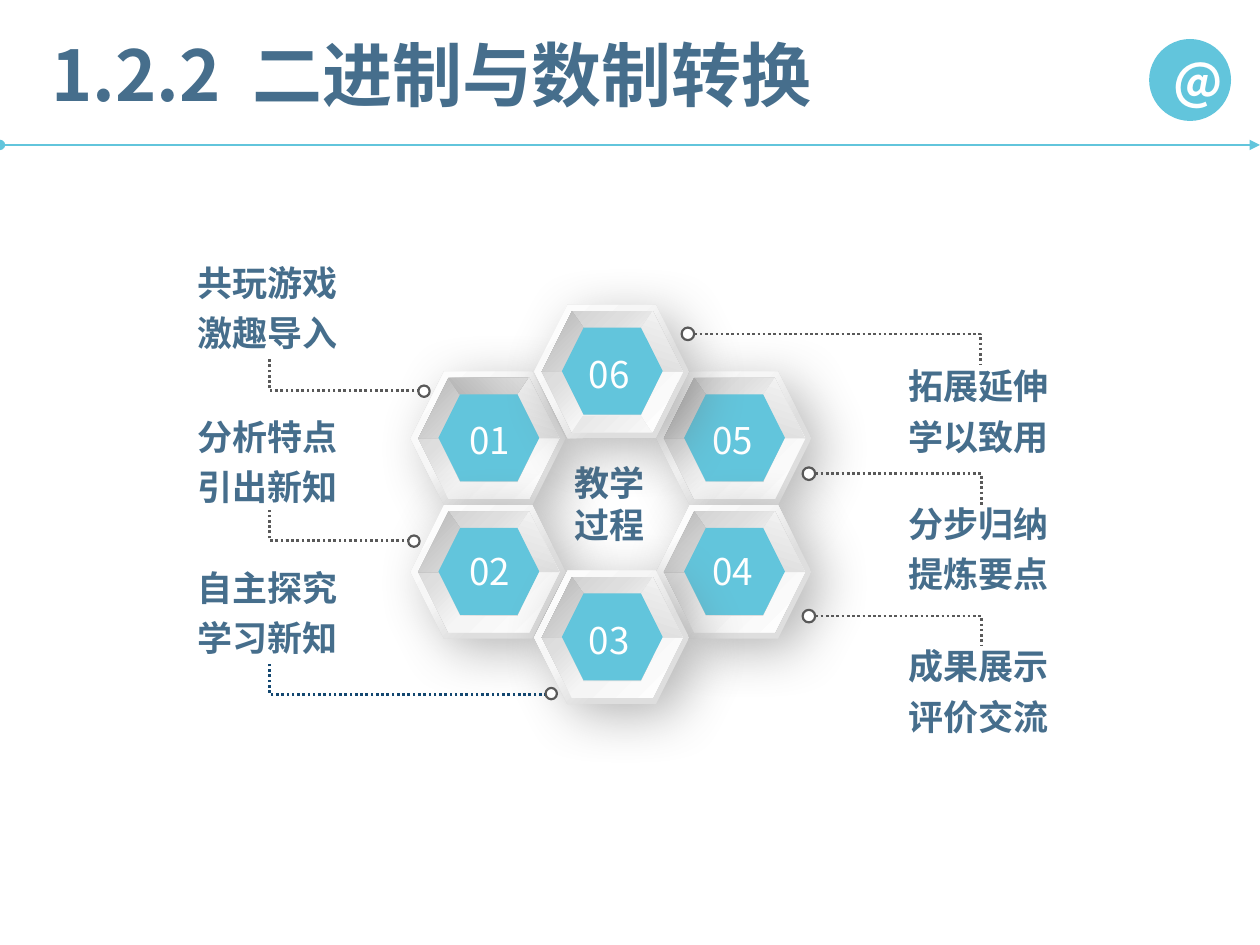
from lxml import etree
from pptx import Presentation
from pptx import util as u
from pptx.dml.color import RGBColor
from pptx.enum import dml, shapes, text
from pptx.oxml import parse_xml
from pptx.oxml.ns import nsdecls, qn

CYAN = RGBColor(0x62, 0xC5, 0xDC)
SLATE = RGBColor(0x46, 0x6E, 0x8C)
WHITE = RGBColor(0xFF, 0xFF, 0xFF)
GREY = RGBColor(0x59, 0x59, 0x59)
NAVY = RGBColor(0x13, 0x47, 0x70)
FONT = "Noto Sans CJK SC"

FRAME = (225, [(17, "DEDEDE"), (37, "E0E0E0"), (61, "F6F6F6"), (100, "FFFFFF")])
RING = (45, [(0, "CBCBCB"), (32, "DEDEDE"), (57, "F5F5F5"), (100, "FFFFFF")])
DARK = (45, [(0, "B4B4B4"), (100, "DFDFDF")])
LIGHT = (45, [(0, "E6E6E6"), (100, "F7F7F7")])
RIGHT = (288, [(0, "DEDEDE"), (100, "F4F4F4")])


def paint(sp, fill):
    sp.shadow.inherit = False
    sp.line.fill.background()
    if isinstance(fill, RGBColor):
        sp.fill.solid()
        sp.fill.fore_color.rgb = fill
        return
    angle, stops = fill
    gs = "".join(f'<a:gs pos="{pos * 1000}"><a:srgbClr val="{c}"/></a:gs>' for pos, c in stops)
    grad = parse_xml(f'<a:gradFill {nsdecls("a")} rotWithShape="1"><a:gsLst>{gs}</a:gsLst>'
                     f'<a:lin ang="{angle * 60000}" scaled="0"/></a:gradFill>')
    sp._element.spPr.find(qn("a:ln")).addprevious(grad)


def write(sp, lines, size, color, bold=True, align=None, spacing=None):
    tf = sp.text_frame
    tf.word_wrap = True
    tf.text = "\n".join(lines)
    for p in tf.paragraphs:
        p.alignment = align
        p.line_spacing = spacing
        for r in p.runs:
            r.font.size = u.Pt(size)
            r.font.bold = bold
            r.font.color.rgb = color
            r.font.name = FONT
            etree.SubElement(r._r.rPr, qn("a:ea")).set("typeface", FONT)
    return tf


prs = Presentation()
prs.slide_width, prs.slide_height = u.Inches(10), u.Inches(7.5)
s = prs.slides.add_slide(prs.slide_layouts[6])
tree = s.shapes
CENTER = text.PP_ALIGN.CENTER
FIT = text.MSO_AUTO_SIZE.SHAPE_TO_FIT_TEXT

sp = tree.add_textbox(*map(u.Inches, (0.31, 0.2, 6.52, 0.77)))
tf = sp.text_frame
for part in ("1.2.2", " ", "二进制与数制转换"):
    r = tf.paragraphs[0].add_run()
    r.text = part
    r.font.size = u.Pt(40)
    r.font.bold = True
    r.font.color.rgb = SLATE
    r.font.name = FONT
    etree.SubElement(r._r.rPr, qn("a:ea")).set("typeface", FONT)
tf.paragraphs[0].runs[1]._r.rPr.set("spc", "900")
tf.word_wrap = True
tf.auto_size = FIT

cn = tree.add_connector(shapes.MSO_CONNECTOR.STRAIGHT, 0, u.Inches(1.15), u.Inches(10), u.Inches(1.15))
cn.line.color.rgb = CYAN
cn.line.width = u.Pt(0.75)
ln = cn.line._get_or_add_ln()
etree.SubElement(ln, qn("a:headEnd")).set("type", "oval")
etree.SubElement(ln, qn("a:tailEnd")).set("type", "triangle")
etree.SubElement(cn._element.spPr, qn("a:effectLst"))

sp = tree.add_shape(shapes.MSO_SHAPE.OVAL, *map(u.Inches, (9.12, 0.31, 0.65, 0.65)))
paint(sp, CYAN)
write(sp, ["@"], 28, WHITE, align=CENTER).vertical_anchor = text.MSO_ANCHOR.MIDDLE

sp = tree.add_textbox(*map(u.Inches, (4.27, 3.61, 1.13, 0.77)))
write(sp, ["教学", "过程"], 20, SLATE, align=CENTER).auto_size = FIT

outer = [(0.3, 0.05), (0.94, 0.05), (1.18, 0.53), (0.94, 1.01), (0.3, 1.01), (0.06, 0.53)]
inner = [(0.39, 0.18), (0.22, 0.53), (0.39, 0.88), (0.85, 0.88), (1.02, 0.53), (0.85, 0.18)]
right_facet = [outer[1], inner[5], inner[4], outer[2]]
left_facet = [outer[0], inner[0], inner[1], outer[5]]
facets = [([inner, outer], RING), ([right_facet], RIGHT), ([left_facet], DARK)]
cells = [
    ("01", 3.26, 2.95, 0.21, 0.32, ["bottom", "frame", "facets", "top"]),
    ("02", 3.26, 4.01, 0.21, 0.3, ["bottom", "top", "frame", "facets"]),
    ("05", 5.21, 2.95, 0.19, 0.32, ["bottom", "top", "frame", "facets"]),
    ("04", 5.21, 4.01, 0.19, 0.3, ["bottom", "top", "frame", "facets"]),
    ("03", 4.24, 4.53, 0.18, 0.32, ["bottom", "top", "frame", "facets"]),
    ("06", 4.24, 2.42, 0.18, 0.32, ["top", "frame", "facets", "bottom"]),
]
for label, x, y, dx, dy, layers in cells:
    for layer in layers:
        if layer == "frame":
            sp = tree.add_shape(shapes.MSO_SHAPE.HEXAGON, *map(u.Inches, (x, y, 1.23, 1.06)))
            paint(sp, FRAME)
            effects = sp._element.spPr.find(qn("a:effectLst"))
            effects.append(parse_xml(
                f'<a:outerShdw {nsdecls("a")} blurRad="{u.Pt(30)}" dist="{u.Pt(10)}" dir="{40 * 60000}" '
                'algn="ctr" rotWithShape="0"><a:srgbClr val="696969"><a:alpha val="47000"/>'
                '</a:srgbClr></a:outerShdw>'))
        elif layer == "facets":
            for outlines, fill in facets:
                paths = [[(u.Inches(x + px), u.Inches(y + py)) for px, py in o] for o in outlines]
                fb = tree.build_freeform(*paths[0][0])
                fb.add_line_segments(paths[0][1:])
                for path in paths[1:]:
                    fb.move_to(*path[0])
                    fb.add_line_segments(path[1:])
                paint(fb.convert_to_shape(), fill)
        else:
            top = y + (0.05 if layer == "top" else 0.88)
            sp = tree.add_shape(shapes.MSO_SHAPE.TRAPEZOID, *map(u.Inches, (x + 0.3, top, 0.63, 0.13)))
            sp.adjustments[0] = 0.663
            paint(sp, DARK if layer == "top" else LIGHT)
            if layer == "top":
                sp._element.spPr.xfrm.set("flipV", "1")
    sp = tree.add_shape(shapes.MSO_SHAPE.HEXAGON, *map(u.Inches, (x + 0.22, y + 0.18, 0.8, 0.69)))
    paint(sp, CYAN)
    sp = tree.add_textbox(*map(u.Inches, (x + dx, y + dy, 0.83, 0.45)))
    write(sp, [label], 21, WHITE, bold=False, align=CENTER).auto_size = FIT

leaders = [
    (5.47, 2.65, 7.78, 2.89, 5.41, 2.6, 0.1, GREY),
    (6.43, 3.76, 7.79, 4.01, 6.37, 3.71, 0.1, GREY),
    (6.43, 4.89, 7.79, 5.13, 6.37, 4.84, 0.1, GREY),
    (4.34, 5.51, 2.14, 5.27, 4.33, 5.46, 0.09, NAVY),
    (3.25, 4.29, 2.14, 4.05, 3.24, 4.25, 0.09, GREY),
    (3.33, 3.1, 2.14, 2.85, 3.32, 3.06, 0.09, GREY),
]
for x1, y1, x2, y2, dot_x, dot_y, d, color in leaders:
    x1, y1, x2, y2 = map(u.Inches, (x1, y1, x2, y2))
    fb = tree.build_freeform(x1, y1)
    fb.add_line_segments([(x2, y1), (x2, y2)], close=False)
    sp = fb.convert_to_shape()
    sp.shadow.inherit = False
    sp.fill.background()
    sp.line.color.rgb = color
    sp.line.width = u.Pt(1.5)
    sp.line.dash_style = dml.MSO_LINE.ROUND_DOT
    sp = tree.add_shape(shapes.MSO_SHAPE.OVAL, *map(u.Inches, (dot_x, dot_y, d, d)))
    paint(sp, WHITE)
    sp.line.color.rgb = GREY
    sp.line.width = u.Pt(1.25)

steps = [
    (1.47, 1.96, 1.42, ["共玩游戏", "激趣导入"]),
    (1.47, 3.18, 1.39, ["分析特点", "引出新知"]),
    (1.47, 4.38, 1.37, ["自主探究", "学习新知"]),
    (7.11, 2.78, 1.33, ["拓展延伸", "学以致用"]),
    (7.11, 3.87, 1.7, ["分步归纳", "提炼要点"]),
    (7.11, 5, 1.7, ["成果展示", "评价交流"]),
]
for x, y, w, lines in steps:
    sp = tree.add_textbox(*map(u.Inches, (x, y, w, 0.91)))
    write(sp, lines, 20, SLATE, spacing=1.2).auto_size = FIT

prs.save("out.pptx")
